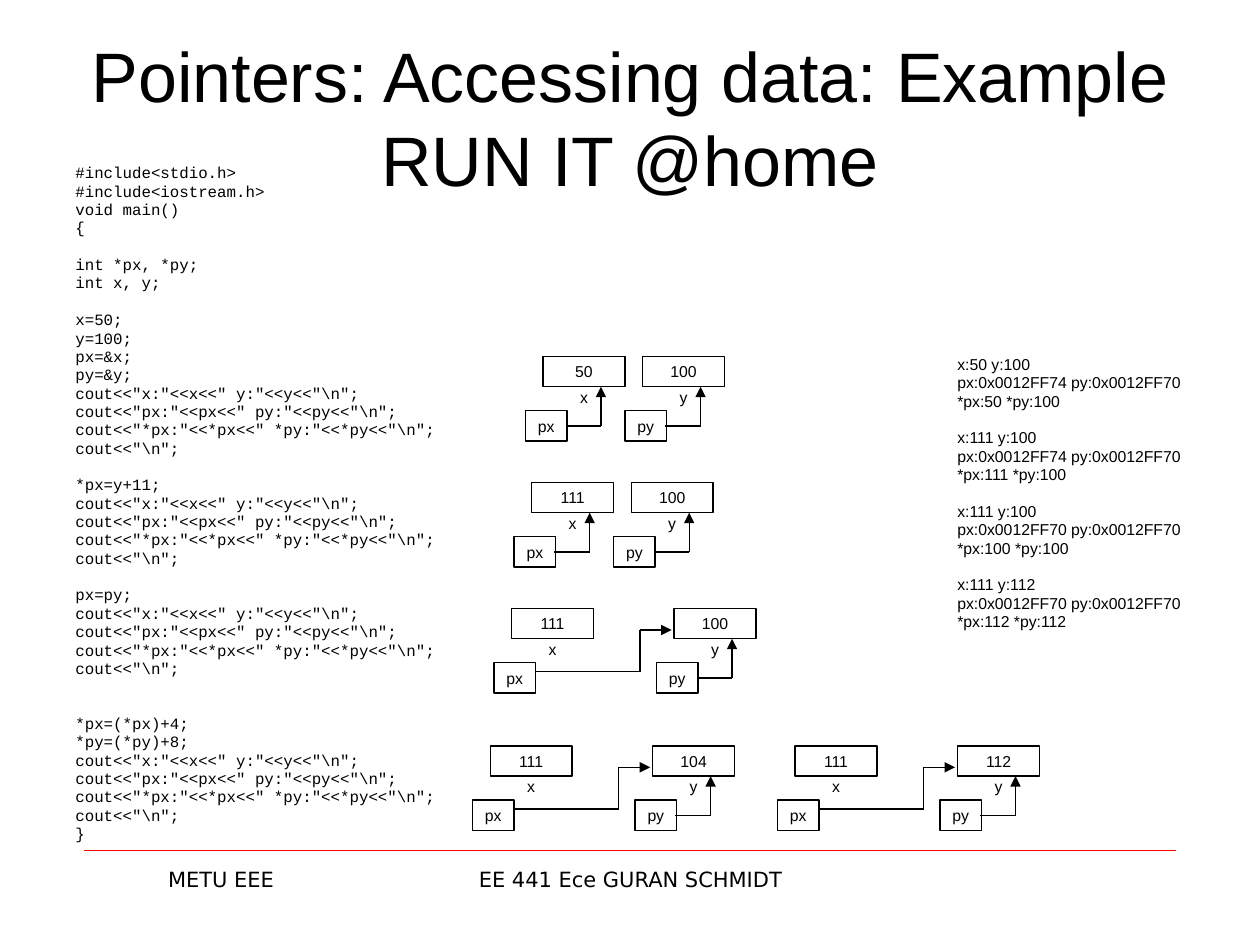
from dataclasses import dataclass

from lxml import etree
from pptx import Presentation
from pptx.dml.color import RGBColor
from pptx.enum import shapes, text
from pptx.oxml import ns
from pptx.util import Inches, Pt


@dataclass(frozen=True)
class Theme:
    """Colours, fonts and sizes of the slide."""
    ink: RGBColor = RGBColor(0, 0, 0)
    rule: RGBColor = RGBColor(255, 0, 0)
    sans: str = "Arial"
    mono: str = "Courier New"
    footer: str = "DejaVu Sans"
    title_size: float = 40
    footer_size: float = 12
    small_size: float = 9
    pitch: float = 10.5
    stroke: float = 0.75
    hairline: float = 0.25


THEME = Theme()
TITLE = "Pointers: Accessing data: Example RUN IT @home"
FOOTERS = [("METU EEE", 0.67, 2.17), ("EE 441 Ece GURAN SCHMIDT", 3.42, 3.17)]

PRINTS = [
    r'cout<<"x:"<<x<<" y:"<<y<<"\n";',
    r'cout<<"px:"<<px<<" py:"<<py<<"\n";',
    r'cout<<"*px:"<<*px<<" *py:"<<*py<<"\n";',
    r'cout<<"\n";',
]
# Each block: (empty line heights above it, lines)
CODE = [
    (0, ["#include<stdio.h>", "#include<iostream.h>", "void main()", "{"]),
    (1, ["int *px, *py;", "int x, y;"]),
    (1, ["x=50;", "y=100;", "px=&x;", "py=&y;", *PRINTS]),
    (1, ["*px=y+11;", *PRINTS]),
    (1, ["px=py;", *PRINTS]),
    (2, ["*px=(*px)+4;", "*py=(*py)+8;", *PRINTS, "}"]),
]
OUTPUT = [
    (0, ["x:50 y:100", "px:0x0012FF74 py:0x0012FF70", "*px:50 *py:100"]),
    (1, ["x:111 y:100", "px:0x0012FF74 py:0x0012FF70", "*px:111 *py:100"]),
    (1, ["x:111 y:100", "px:0x0012FF70 py:0x0012FF70", "*px:100 *py:100"]),
    (1, ["x:111 y:112", "px:0x0012FF70 py:0x0012FF70", "*px:112 *py:112"]),
]
# Memory states: (left, top, x value, y value, px points to y)
STATES = [
    (4.31, 2.83, "50", "100", False),
    (4.22, 3.83, "111", "100", False),
    (4.06, 4.83, "111", "100", True),
    (3.89, 5.92, "111", "104", True),
    (6.31, 5.92, "111", "112", True),
]
NEAR_STEP, FAR_STEP = 0.79, 1.29
CELL_WIDTH, POINTER_WIDTH, CELL_HEIGHT, LABEL_HEIGHT = 0.65, 0.33, 0.24, 0.16


def style(para, font, size, align=None):
    """Set the font and alignment of a paragraph."""
    para.font.name, para.font.size = font, Pt(size)
    para.font.color.rgb = THEME.ink
    para.alignment = align


def add_text(parent, words, at, font, size, anchor=text.MSO_ANCHOR.TOP):
    """Add a centred, wrapping one-paragraph text box."""
    box = parent.add_textbox(*map(Inches, at))
    frame = box.text_frame
    frame.word_wrap, frame.vertical_anchor = True, anchor
    frame.text = words
    style(frame.paragraphs[0], font, size, text.PP_ALIGN.CENTER)
    return box


def add_listing(page, blocks, at, font, top_margin=0.05):
    """Add blocks of lines, separated by paragraph spacing."""
    frame = page.shapes.add_textbox(*map(Inches, at)).text_frame
    frame.word_wrap, frame.margin_top = True, Inches(top_margin)
    lines = [(line, gap if index == 0 else 0)
             for gap, block in blocks for index, line in enumerate(block)]
    for index, (line, gap) in enumerate(lines):
        para = frame.add_paragraph() if index else frame.paragraphs[0]
        para.text = line
        para.line_spacing = Pt(THEME.pitch)
        para.space_before = Pt(gap * THEME.pitch)
        style(para, font, THEME.small_size)


def add_line(parent, start, end, color, width, arrow=False):
    """Add a straight line, with an arrowhead at its end if wanted."""
    line = parent.add_connector(shapes.MSO_CONNECTOR.STRAIGHT,
                                *map(Inches, (*start, *end)))
    line.line.color.rgb, line.line.width = color, Pt(width)
    if arrow:
        etree.SubElement(line.line._get_or_add_ln(), ns.qn("a:tailEnd"),
                         type="triangle")
    etree.SubElement(line._element.spPr, ns.qn("a:effectLst"))


def add_route(parent, points):
    """Join points by lines; the last one carries the arrowhead."""
    for index, (start, end) in enumerate(zip(points, points[1:])):
        add_line(parent, start, end, THEME.ink, THEME.stroke,
                 arrow=index == len(points) - 2)


def fill_frame(shape, words):
    """Centre a small label in a shape without margins."""
    frame = shape.text_frame
    frame.margin_left = frame.margin_right = 0
    frame.margin_top = frame.margin_bottom = 0
    frame.word_wrap = False
    frame.vertical_anchor = text.MSO_ANCHOR.MIDDLE
    frame.text = words
    style(frame.paragraphs[0], THEME.sans, THEME.small_size,
          text.PP_ALIGN.CENTER)


def add_cell(parent, words, left, top, width):
    """Add an outlined memory cell."""
    cell = parent.add_shape(shapes.MSO_SHAPE.RECTANGLE, *map(
        Inches, (left, top, width, CELL_HEIGHT)))
    cell.shadow.inherit = False
    cell.fill.background()
    cell.line.color.rgb, cell.line.width = THEME.ink, Pt(THEME.stroke)
    fill_frame(cell, words)


def add_variable(parent, name, value, left, top):
    """Add a variable's cell, its label and its pointer's cell."""
    add_cell(parent, value, left, top, CELL_WIDTH)
    add_cell(parent, "p" + name, left - 0.14, top + 0.43, POINTER_WIDTH)
    label = parent.add_textbox(*map(Inches, (
        left, top + CELL_HEIGHT, CELL_WIDTH, LABEL_HEIGHT)))
    fill_frame(label, name)


def add_state(page, left, top, x_value, y_value, px_to_y):
    """Draw one memory state as a group."""
    group = page.shapes.add_group_shape().shapes
    y_left = left + (FAR_STEP if px_to_y else NEAR_STEP)
    add_variable(group, "x", x_value, left, top)
    add_variable(group, "y", y_value, y_left, top)
    for start in [y_left] if px_to_y else [left, y_left]:
        add_route(group, [(start + 0.18, top + 0.55),
                          (start + 0.46, top + 0.55),
                          (start + 0.46, top + CELL_HEIGHT)])
    if px_to_y:
        add_route(group, [(left + 0.19, top + 0.5), (left + 1.02, top + 0.5),
                          (left + 1.02, top + 0.17),
                          (left + 1.27, top + 0.17)])


def build():
    """Build and save the slide."""
    deck = Presentation()
    deck.slide_width, deck.slide_height = Inches(10), Inches(7.5)
    page = deck.slides.add_slide(deck.slide_layouts[6])
    add_line(page.shapes, (0.67, 6.75), (9.33, 6.75), THEME.rule,
             THEME.hairline)
    for words, left, width in FOOTERS:
        add_text(page.shapes, words, (left, 6.83, width, 0.52),
                 THEME.footer, THEME.footer_size)
    add_text(page.shapes, TITLE, (0.5, 0.3, 9, 1.25), THEME.sans,
             THEME.title_size, text.MSO_ANCHOR.MIDDLE)
    add_listing(page, CODE, (0.5, 1.25, 4.33, 5.67), THEME.mono)
    add_listing(page, OUTPUT, (7.5, 1.75, 2, 4.95), THEME.sans,
                top_margin=1.07)
    for state in STATES:
        add_state(page, *state)
    deck.save("out.pptx")


build()
